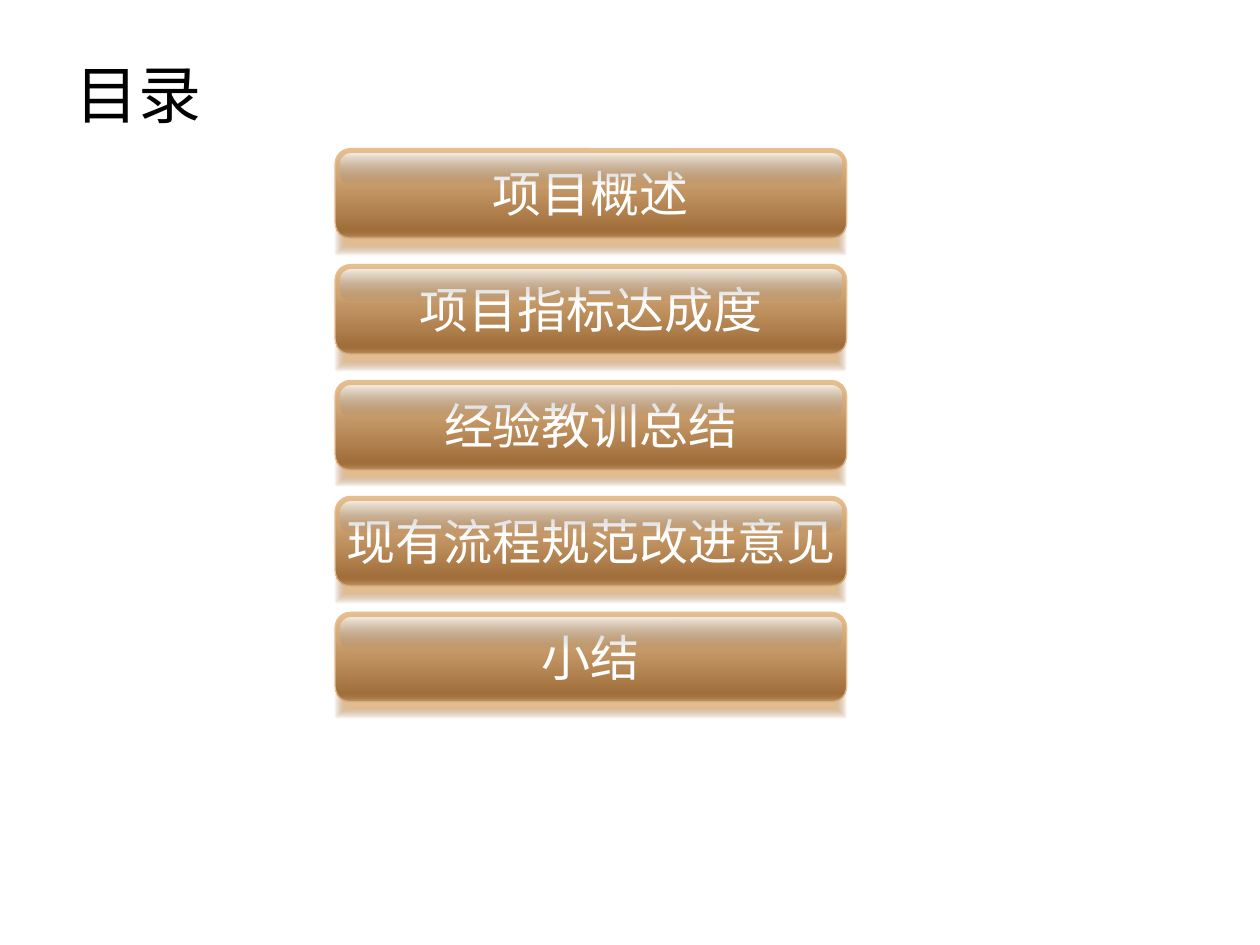
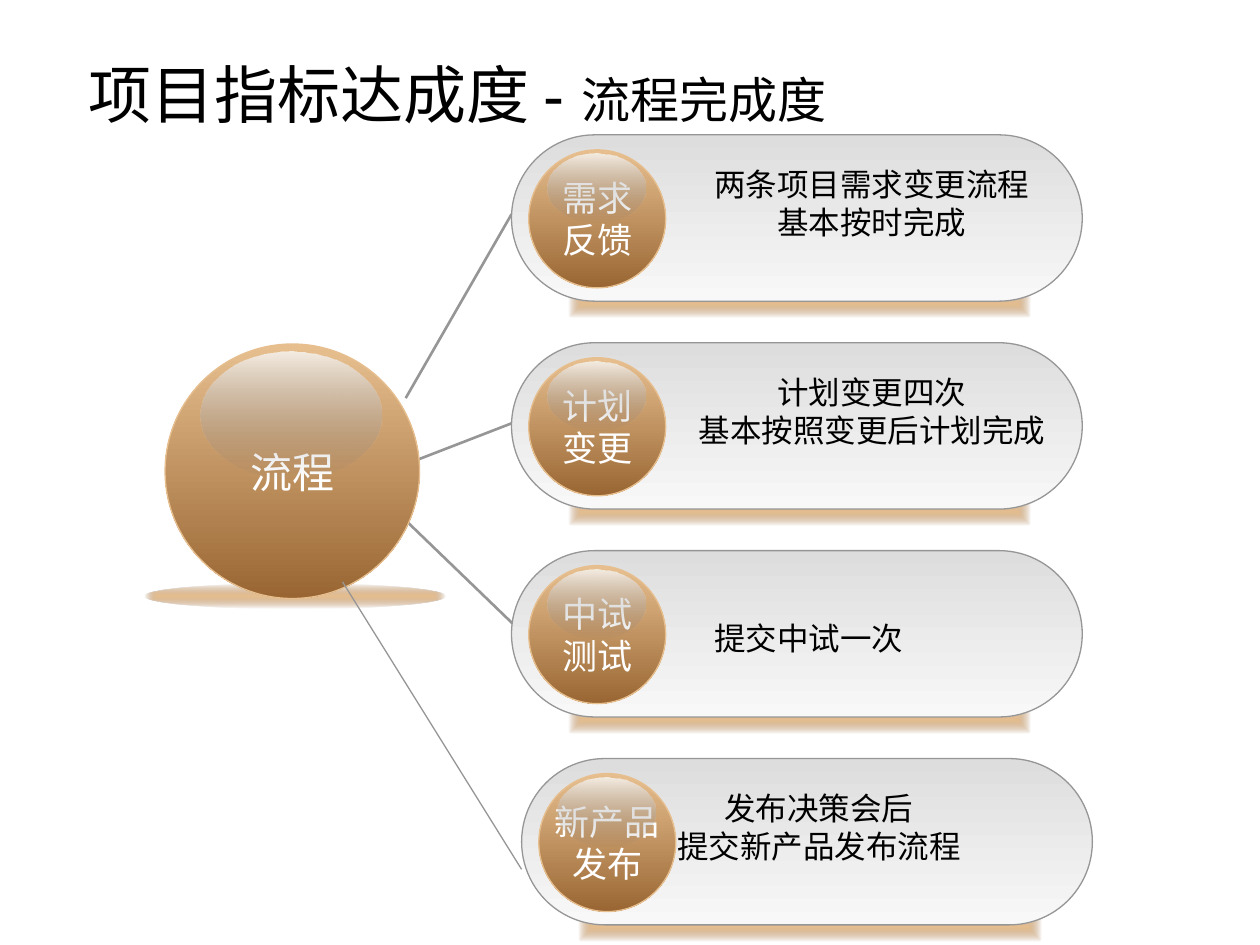
from dataclasses import dataclass

from lxml import etree
from pptx import Presentation
from pptx.dml.color import RGBColor
from pptx.enum.shapes import MSO_CONNECTOR, MSO_SHAPE
from pptx.enum.text import MSO_ANCHOR, PP_ALIGN
from pptx.oxml.ns import qn
from pptx.util import Inches, Pt

ROUNDED, ELLIPSE = MSO_SHAPE.ROUNDED_RECTANGLE, MSO_SHAPE.OVAL
STRAIGHT = MSO_CONNECTOR.STRAIGHT
TOP, MIDDLE = MSO_ANCHOR.TOP, MSO_ANCHOR.MIDDLE
LEFT, CENTER = PP_ALIGN.LEFT, PP_ALIGN.CENTER


@dataclass(frozen=True)
class Theme:
    latin: str = "Arial"
    asian: str = "Noto Sans CJK SC"
    ink: str = "000000"
    white: str = "FFFFFF"
    gold: str = "E7BF8F"
    gray: str = "969696"
    # Gradient stops: colour and opacity in percent
    bronze: tuple = (("E7BF8F", 100), ("996633", 100))
    gloss: tuple = (("F8F8F8", 80), ("717171", 0))
    glow: tuple = (("E7BF8F", 100), ("996633", 0))
    silver: tuple = (("DDDDDD", 100), ("F8F8F8", 100))
    title_size: int = 36
    heading_size: int = 28
    hub_size: int = 24
    orb_size: int = 20
    body_size: int = 18


THEME = Theme()


@dataclass(frozen=True)
class Box:
    left: float
    top: float
    width: float
    height: float

    def inner(self, x, y, width, height):
        """Return the box given by shares of this one."""
        return Box(self.left + x * self.width, self.top + y * self.height,
                   width * self.width, height * self.height)

    def emu(self):
        return [Inches(value) for value in (self.left, self.top, self.width, self.height)]


SLIDE = Box(0, 0, 10, 7.5)
CELL = SLIDE.width / 100  # the grid has 100 columns and 75 rows


def cells(column, row, columns, rows):
    return Box(column * CELL, row * CELL, columns * CELL, rows * CELL)


def set_gradient(shape, stops, from_center=False):
    shape.fill.gradient()
    gradient = shape._element.spPr.find(qn("a:gradFill"))
    for child in list(gradient):
        gradient.remove(child)
    stop_list = etree.SubElement(gradient, qn("a:gsLst"))
    for position, (color, opacity) in zip((0, 100000), stops):
        stop = etree.SubElement(stop_list, qn("a:gs"), pos=str(position))
        value = etree.SubElement(stop, qn("a:srgbClr"), val=color)
        if opacity < 100:
            etree.SubElement(value, qn("a:alpha"), val=str(opacity * 1000))
    if from_center:
        center = etree.SubElement(gradient, qn("a:path"))
        center.set("path", "rect")
        etree.SubElement(center, qn("a:fillToRect"), l="50000", t="50000", r="50000", b="50000")
    else:
        etree.SubElement(gradient, qn("a:lin"), ang="5400000", scaled="1")


def add_gradient_shape(slide, kind, box, stops, line=None, corner=None, from_center=False):
    shape = slide.shapes.add_shape(kind, *box.emu())
    shape.shadow.inherit = False
    if corner is not None:
        shape.adjustments[0] = corner
    set_gradient(shape, stops, from_center)
    if line:
        shape.line.color.rgb = RGBColor.from_string(line)
        shape.line.width = Pt(0.75)
    else:
        shape.line.fill.background()
    return shape


def write(shape, lines, color, align=CENTER, anchor=MIDDLE, wrap=False, left=0.1, top=0.05, right=0.1):
    """Fill a shape with lines, each a list of (text, size) runs."""
    frame = shape.text_frame
    frame.word_wrap, frame.vertical_anchor = wrap, anchor
    frame.margin_left, frame.margin_right = Inches(left), Inches(right)
    frame.margin_top, frame.margin_bottom = Inches(top), Inches(0.05)
    for index, runs in enumerate(lines):
        paragraph = frame.add_paragraph() if index else frame.paragraphs[0]
        paragraph.alignment = align
        for text, size in runs:
            run = paragraph.add_run()
            run.text = text
            run.font.size, run.font.name = Pt(size), THEME.latin
            run.font.color.rgb = RGBColor.from_string(color)
            etree.SubElement(run.font._element, qn("a:ea"), typeface=THEME.asian)


def add_title(slide, runs, indent=0.1):
    shape = slide.shapes.add_textbox(*cells(5, 3, 90, 8.8).emu())
    write(shape, [runs], THEME.ink, align=LEFT, wrap=True, left=indent)


def add_button(slide, box, label):
    button = add_gradient_shape(slide, ROUNDED, box, THEME.bronze, THEME.gold, corner=0.17)
    write(button, [[(label, THEME.heading_size)]], THEME.white)
    add_gradient_shape(slide, ROUNDED, box.inner(0.01, 0.06, 0.98, 0.34), THEME.gloss, corner=0.32)
    add_gradient_shape(slide, ROUNDED, box.inner(0, 0.89, 1, 0.3), THEME.glow,
                       corner=0.17, from_center=True)


def add_orb(slide, box, lines, size):
    orb = add_gradient_shape(slide, ELLIPSE, box, THEME.bronze, THEME.gold)
    write(orb, [[(line, size)] for line in lines], THEME.white)
    add_gradient_shape(slide, ELLIPSE, box.inner(0.14, 0.03, 0.71, 0.5), THEME.gloss)


def add_hub(slide, box, label):
    add_gradient_shape(slide, ELLIPSE, box.inner(-0.08, 0.94, 1.18, 0.1), THEME.glow, from_center=True)
    add_orb(slide, box, [label], THEME.hub_size)


def add_card(slide, box, name_lines, result_lines, text_left, text_top):
    add_gradient_shape(slide, ROUNDED, box.inner(0.1, 0.93, 0.81, 0.17), THEME.glow,
                       corner=0.17, from_center=True)
    card = add_gradient_shape(slide, ROUNDED, box, THEME.silver, THEME.gray, corner=0.5)
    write(card, [[(line, THEME.body_size)] for line in result_lines], THEME.ink,
          anchor=TOP, wrap=True, left=text_left, top=text_top, right=0)
    add_orb(slide, box.inner(0.03, 0.09, 0.24, 0.83), name_lines, THEME.orb_size)


def add_spoke(slide, start, end, width):
    points = [Inches(value * CELL) for value in (*start, *end)]
    spoke = slide.shapes.add_connector(STRAIGHT, *points)
    spoke.line.color.rgb = RGBColor.from_string(THEME.gray)
    spoke.line.width = Pt(width)
    etree.SubElement(spoke._element.spPr, qn("a:effectLst"))


def build_contents(slide):
    add_title(slide, [("目录", THEME.title_size)])
    chapters = ("项目概述", "项目指标达成度", "经验教训总结", "现有流程规范改进意见", "小结")
    for index, chapter in enumerate(chapters):
        add_button(slide, cells(26.6, 11.8 + 9.2 * index, 40.6, 7.1), chapter)


def build_process_completion(slide):
    add_title(slide, [("项目指标达成度 - ", THEME.title_size), ("流程完成度", THEME.heading_size)],
              indent=0.2)
    for start, end in (((33.1, 36.5), (40.6, 33.6)),
                       ((32.2, 31.6), (40.6, 17)),
                       ((32.2, 41.3), (40.8, 49.6))):
        add_spoke(slide, start, end, 1.5)
    add_hub(slide, cells(13.1, 27.3, 20.2, 20.2), "流程")
    # Column, name, result, left and top text insets
    cards = (
        (40.6, ("需求", "反馈"), ("两条项目需求变更流程", "基本按时完成"), 1.19, 0.05),
        (40.6, ("计划", "变更"), ("计划变更四次", "基本按照变更后计划完成"), 1.19, 0.05),
        (40.6, ("中试", "测试"), ("提交中试一次",), 0.19, 0.35),
        (41.4, ("新产品", "发布"), ("发布决策会后", "提交新产品发布流程"), 0.19, 0.05),
    )
    for index, (column, *content) in enumerate(cards):
        add_card(slide, cells(column, 10.7 + 16.5 * index, 45.3, 13.2), *content)
    add_spoke(slide, (27.2, 46.2), (41.4, 69), 0.75)


def main():
    presentation = Presentation()
    presentation.slide_width, presentation.slide_height = Inches(SLIDE.width), Inches(SLIDE.height)
    blank = presentation.slide_layouts[6]
    for build in (build_contents, build_process_completion):
        build(presentation.slides.add_slide(blank))
    presentation.save("out.pptx")


if __name__ == "__main__":
    main()
